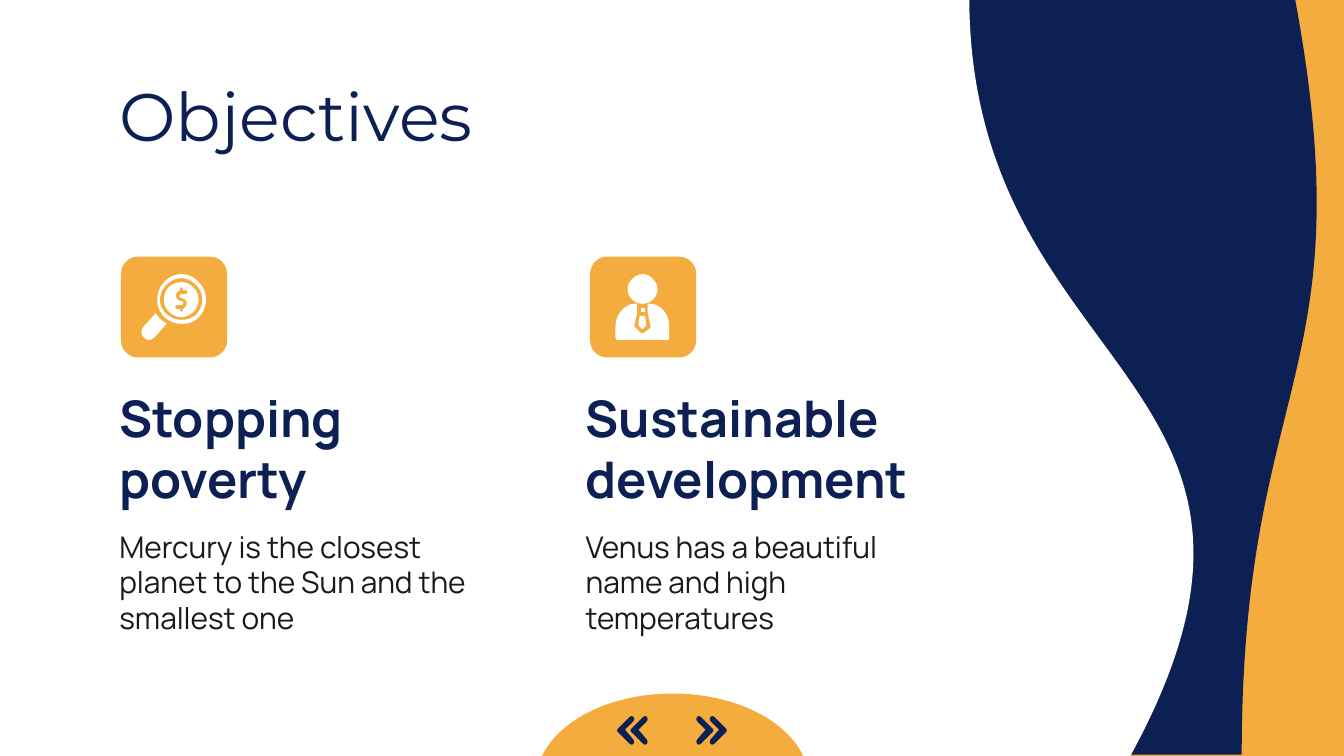
from pptx import Presentation
from pptx.dml.color import RGBColor
from pptx.enum.shapes import MSO_SHAPE
from pptx.enum.text import MSO_ANCHOR
from pptx.util import Inches, Pt

DOCUMENT = MSO_SHAPE.FLOWCHART_DOCUMENT
ROUND_RECT = MSO_SHAPE.ROUNDED_RECTANGLE
PIE = MSO_SHAPE.PIE
MIDDLE = MSO_ANCHOR.MIDDLE

NAVY, ORANGE, WHITE, BLACK = "0C2054", "F3AC3D", "FFFFFF", "191919"

TITLE = {"name": "Montserrat", "size": Pt(36), "color": NAVY}
HEADING = {"name": "Manrope", "size": Pt(27), "color": NAVY, "bold": True}
BODY = {"name": "Manrope", "size": Pt(16), "color": BLACK}

MAGNIFIER = [
    "M 1.35 2.07 C 1.39 2.07 1.43 2.09 1.46 2.12 C 1.52 2.18 1.52 2.28 1.46 2.34 "
    "C 1.43 2.37 1.39 2.38 1.35 2.38 C 1.27 2.38 1.19 2.32 1.19 2.23 "
    "C 1.19 2.14 1.27 2.07 1.35 2.07 Z "
    "M 1.35 2.04 C 1.26 2.04 1.17 2.12 1.17 2.23 C 1.17 2.34 1.26 2.41 1.35 2.41 "
    "C 1.4 2.41 1.44 2.4 1.48 2.36 C 1.55 2.29 1.55 2.17 1.48 2.1 "
    "C 1.44 2.06 1.4 2.04 1.35 2.04 Z",
    "M 1.16 2.33 L 1.07 2.43 C 1.03 2.47 1.07 2.53 1.11 2.53 "
    "C 1.12 2.53 1.14 2.52 1.15 2.51 L 1.24 2.41 C 1.23 2.4 1.21 2.39 1.2 2.38 "
    "C 1.19 2.37 1.17 2.35 1.16 2.33 Z",
    "M 1.35 2.14 C 1.36 2.14 1.36 2.14 1.36 2.15 L 1.36 2.16 L 1.38 2.16 "
    "C 1.4 2.16 1.4 2.19 1.38 2.19 L 1.35 2.19 C 1.33 2.19 1.33 2.21 1.35 2.22 "
    "C 1.35 2.22 1.36 2.22 1.36 2.22 C 1.4 2.23 1.4 2.28 1.36 2.3 L 1.36 2.31 "
    "C 1.36 2.31 1.36 2.32 1.35 2.32 C 1.34 2.32 1.34 2.31 1.34 2.31 L 1.34 2.3 "
    "L 1.32 2.3 C 1.3 2.3 1.3 2.27 1.32 2.27 L 1.35 2.27 "
    "C 1.37 2.27 1.37 2.24 1.35 2.24 C 1.34 2.24 1.34 2.24 1.34 2.24 "
    "C 1.3 2.23 1.3 2.17 1.34 2.16 L 1.34 2.15 C 1.34 2.14 1.34 2.14 1.35 2.14 Z "
    "M 1.35 2.1 C 1.28 2.1 1.22 2.15 1.22 2.23 C 1.22 2.31 1.29 2.36 1.35 2.36 "
    "C 1.38 2.36 1.41 2.35 1.44 2.32 C 1.49 2.27 1.49 2.19 1.44 2.14 "
    "C 1.41 2.11 1.38 2.1 1.35 2.1 Z",
]
PERSON = [
    "M 4.78 2.04 C 4.73 2.04 4.67 2.09 4.67 2.15 C 4.67 2.21 4.72 2.26 4.78 2.26 "
    "C 4.88 2.26 4.93 2.14 4.86 2.08 C 4.84 2.05 4.81 2.04 4.78 2.04 Z",
    "M 4.73 2.26 C 4.65 2.26 4.58 2.34 4.58 2.43 L 4.58 2.51 "
    "C 4.58 2.52 4.59 2.53 4.59 2.53 L 4.97 2.53 C 4.98 2.53 4.98 2.52 4.98 2.51 "
    "L 4.98 2.43 C 4.98 2.34 4.92 2.26 4.83 2.26 L 4.82 2.26 L 4.82 2.33 "
    "L 4.84 2.42 C 4.84 2.43 4.84 2.43 4.84 2.44 L 4.79 2.48 "
    "C 4.79 2.48 4.77 2.48 4.77 2.48 L 4.73 2.44 C 4.72 2.43 4.72 2.43 4.72 2.42 "
    "L 4.74 2.33 L 4.74 2.26 Z",
    "M 4.76 2.35 L 4.75 2.42 L 4.78 2.45 L 4.81 2.42 L 4.8 2.35 Z",
    "M 4.77 2.29 L 4.77 2.32 L 4.8 2.32 L 4.8 2.29 Z",
]
CHEVRON = (
    "M 5.19 5.37 C 5.17 5.35 5.19 5.31 5.22 5.34 L 5.3 5.42 "
    "C 5.31 5.43 5.31 5.44 5.3 5.45 L 5.22 5.53 C 5.19 5.56 5.17 5.52 5.19 5.5 "
    "L 5.25 5.43 Z"
)
OBJECTIVES = [
    (0.79, 0.9, MAGNIFIER, ["Stopping", "poverty"],
     "Mercury is the closest planet to the Sun and the smallest one"),
    (4.26, 4.39, PERSON, ["Sustainable development"],
     "Venus has a beautiful name and high temperatures"),
]


def rgb(color):
    return RGBColor.from_string(color)


def paint(sp, color):
    sp.shadow.inherit = False
    sp.fill.solid()
    sp.fill.fore_color.rgb = rgb(color)
    sp.line.fill.background()


def add_shape(s, kind, box, color, rotation=0, flip=False, adjustments=()):
    sp = s.shapes.add_shape(kind, *map(Inches, box))
    paint(sp, color)
    sp.rotation = rotation
    if flip:
        sp._element.spPr.xfrm.set("flipH", "1")
    for i, value in enumerate(adjustments):
        sp.adjustments[i] = value


def contours(outline, steps=10):
    for part in outline.split("M")[1:]:
        points = []
        for segment in part.replace("Z", "").replace("C", "L").split("L"):
            n = [float(v) for v in segment.split()]
            pairs = list(zip(n[::2], n[1::2]))
            if len(pairs) == 1:
                points += pairs
                continue
            curve = [points[-1]] + pairs
            for k in range(1, steps + 1):
                t = k / steps
                weights = ((1 - t) ** 3, 3 * t * (1 - t) ** 2, 3 * t * t * (1 - t), t ** 3)
                points.append(tuple(sum(w * c for w, c in zip(weights, axis))
                                    for axis in zip(*curve)))
        yield points


def add_outline(s, outline, color, dx=0, mirror=False):
    builder = None
    for contour in contours(outline):
        points = [(Inches(10 - x - dx if mirror else x + dx), Inches(y)) for x, y in contour]
        if builder is None:
            builder = s.shapes.build_freeform(*points[0])
        else:
            builder.move_to(*points[0])
        builder.add_line_segments(points[1:], close=True)
    paint(builder.convert_to_shape(), color)


def add_text(s, box, lines, style):
    tf = s.shapes.add_textbox(*map(Inches, box)).text_frame
    tf.word_wrap = True
    tf.vertical_anchor = MIDDLE
    for side in ("left", "right", "top", "bottom"):
        setattr(tf, f"margin_{side}", Inches(0.1))
    for i, line in enumerate(lines):
        p = tf.add_paragraph() if i else tf.paragraphs[0]
        r = p.add_run()
        r.text = line
        for key, value in style.items():
            if key == "color":
                r.font.color.rgb = rgb(value)
            else:
                setattr(r.font, key, value)


def main():
    """Build the objectives slide."""
    prs = Presentation()
    prs.slide_width, prs.slide_height = Inches(10), Inches(10 * 9 / 16)
    s = prs.slides.add_slide(prs.slide_layouts[6])
    s.background.fill.solid()
    s.background.fill.fore_color.rgb = rgb(ORANGE)

    add_shape(s, DOCUMENT, (5.52, 1.3, 5.62, 3.01), NAVY, 270, True)
    add_shape(s, DOCUMENT, (1.66, -1.69, 5.67, 9), WHITE, 270)

    for left, tile_left, icon, heading, body in OBJECTIVES:
        add_shape(s, ROUND_RECT, (tile_left, 1.91, 0.79, 0.75), ORANGE, adjustments=[0.17])
        for outline in icon:
            add_outline(s, outline, WHITE)
        add_text(s, (left, 2.94, 2.87, 0.78), heading, HEADING)
        add_text(s, (left, 3.94, 2.87, 0.78), [body], BODY)
    add_text(s, (0.79, 0.59, 6.34, 0.53), ["Objectives"], TITLE)

    add_shape(s, PIE, (3.99, 5.16, 2.03, 1.31), ORANGE, 180, True, [0, 108.31])
    for mirror in (False, True):
        for dx in (0, 0.1):
            add_outline(s, CHEVRON, NAVY, dx, mirror)

    prs.save("out.pptx")


if __name__ == "__main__":
    main()
